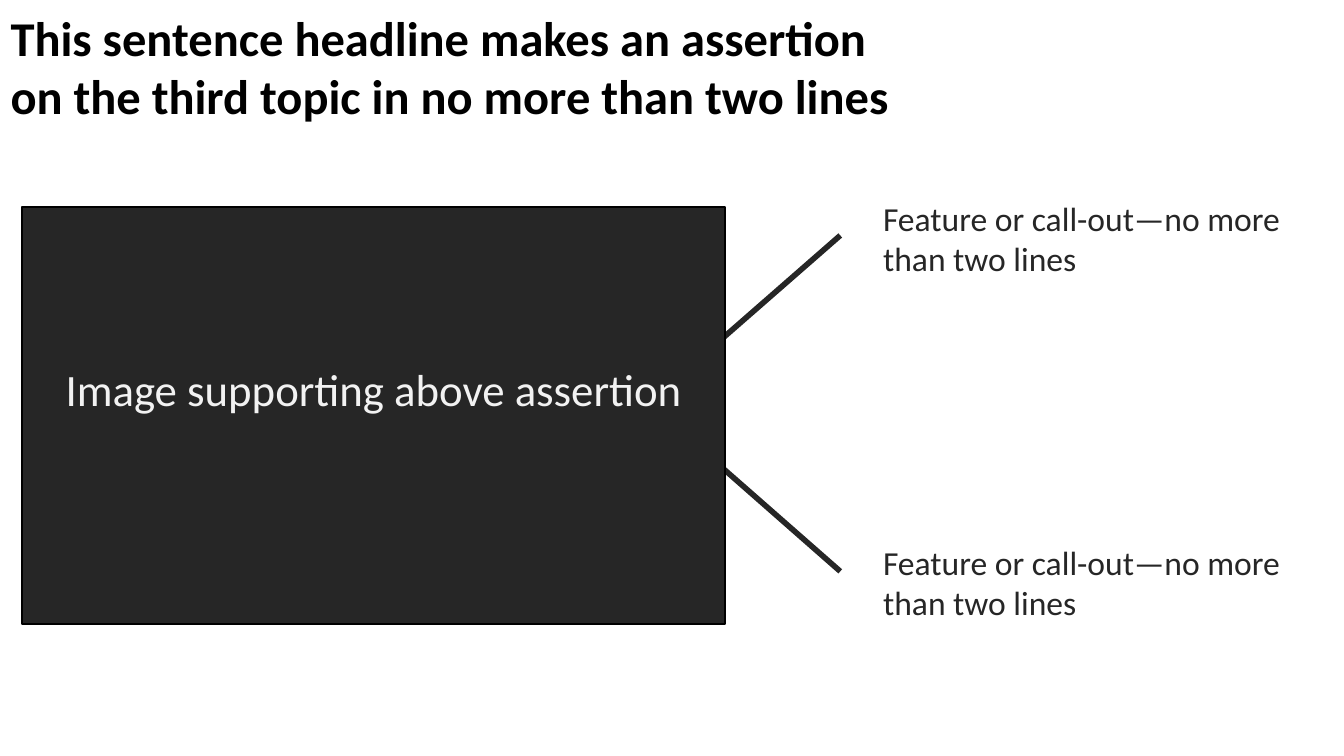
import pptx
import pptx.util
import pptx.dml.color
import pptx.enum.shapes
import pptx.enum.text
import pptx.oxml.ns
import lxml.etree

Cm = pptx.util.Cm
Pt = pptx.util.Pt


class AssertionSlide:
    """Hold the style and the current slide, and draw each kind of element."""

    FONT = "Calibri"
    COLORS = {"headline": "000000", "dark": "262626", "light": "F2F2F2"}

    def __init__(self, deck):
        self.slide = deck.slides.add_slide(deck.slide_layouts[6])

    def color(self, key):
        return pptx.dml.color.RGBColor.from_string(self.COLORS[key])

    def fill_text(self, frame, lines, size, color, insets, bold=False):
        frame.word_wrap = True
        frame.margin_left, frame.margin_top, frame.margin_right, frame.margin_bottom = map(Cm, insets)
        paragraph = frame.paragraphs[0]
        for index, line in enumerate(lines):
            if index:
                paragraph.add_line_break()
            run = paragraph.add_run()
            run.text = line
            run.font.name = self.FONT
            run.font.size = Pt(size)
            run.font.bold = bold
            run.font.color.rgb = self.color(color)
        return paragraph

    def text(self, box, lines, size, color, insets, bold=False):
        frame = self.slide.shapes.add_textbox(*map(Cm, box)).text_frame
        self.fill_text(frame, lines, size, color, insets, bold)

    def panel(self, box, caption, size, insets):
        panel = self.slide.shapes.add_shape(
            pptx.enum.shapes.MSO_SHAPE.RECTANGLE, *map(Cm, box))
        panel.shadow.inherit = False
        panel.fill.solid()
        panel.fill.fore_color.rgb = self.color("dark")
        panel.line.color.rgb = self.color("headline")
        panel.line.width = Pt(1)
        panel.text_frame.vertical_anchor = pptx.enum.text.MSO_ANCHOR.MIDDLE
        paragraph = self.fill_text(panel.text_frame, [caption], size, "light", insets)
        paragraph.alignment = pptx.enum.text.PP_ALIGN.CENTER

    def pointer(self, start, end):
        pointer = self.slide.shapes.add_connector(
            pptx.enum.shapes.MSO_CONNECTOR.STRAIGHT, *map(Cm, start + end))
        pointer.line.color.rgb = self.color("dark")
        pointer.line.width = Pt(3)
        lxml.etree.SubElement(pointer._element.spPr, pptx.oxml.ns.qn("a:effectLst"))


deck = pptx.Presentation()
deck.slide_width = Cm(25.4)
deck.slide_height = Cm(14.29)
topic = AssertionSlide(deck)

callouts = [(6.67, 4.45, 3.66), (8.57, 10.8, 10.16)]
for pointer_start, pointer_end, callout_top in callouts:
    topic.pointer((13.34, pointer_start), (15.88, pointer_end))
    topic.text((16.51, callout_top, 8.46, 1.37),
               ["Feature or call-out\u2014no more than two lines"],
               18, "dark", (0.18, 0.08, 0.18, 0.08))

topic.panel((0.42, 3.92, 13.28, 7.87), "Image supporting above assertion",
            24, (0.25, 0.13, 0.25, 1.13))
topic.text((0.2, 0.15, 25, 2.24),
           ["This sentence headline makes an assertion ",
            "on the third topic in no more than two lines"],
           26, "headline", (0, 0, 0, 0), bold=True)

deck.save("out.pptx")
